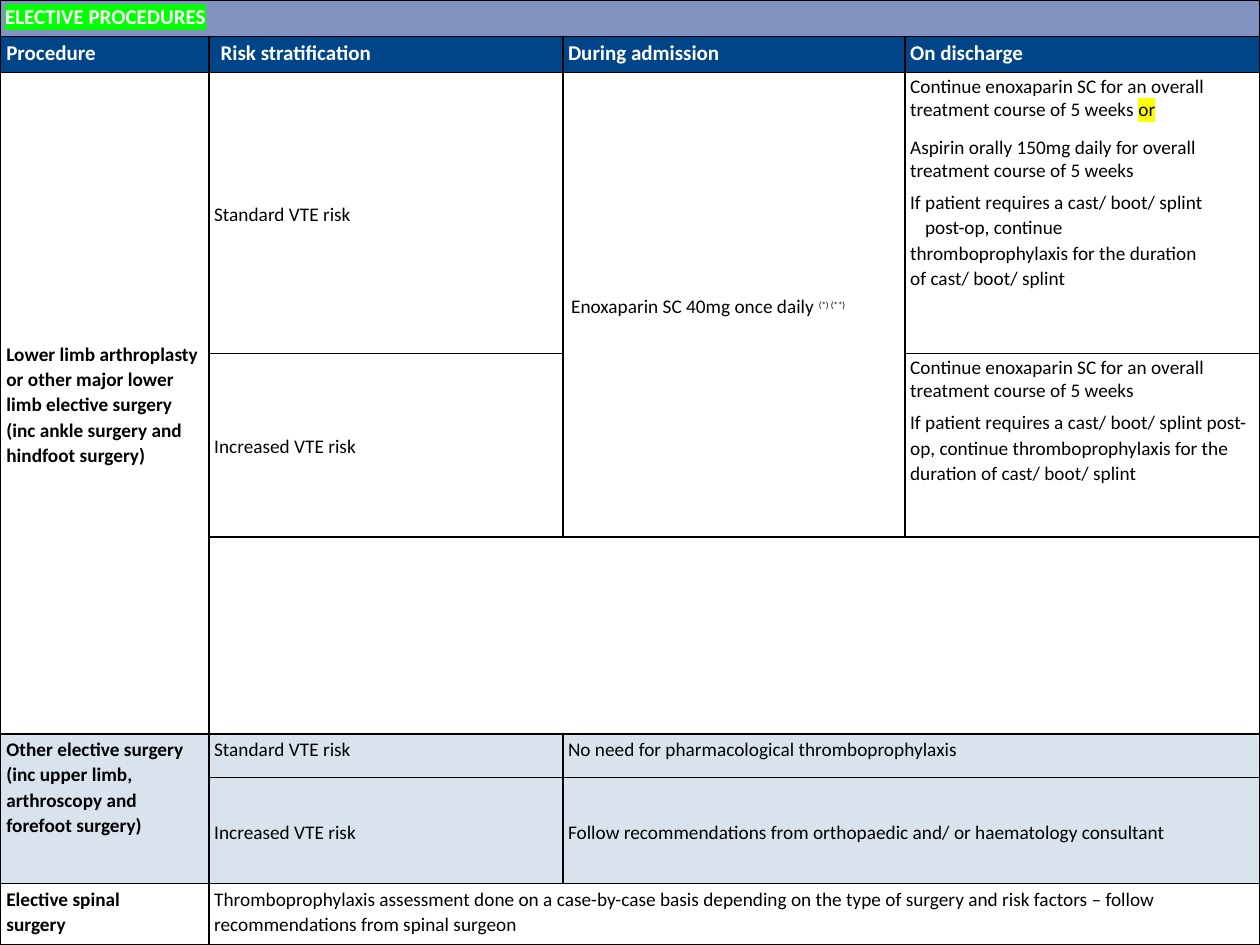
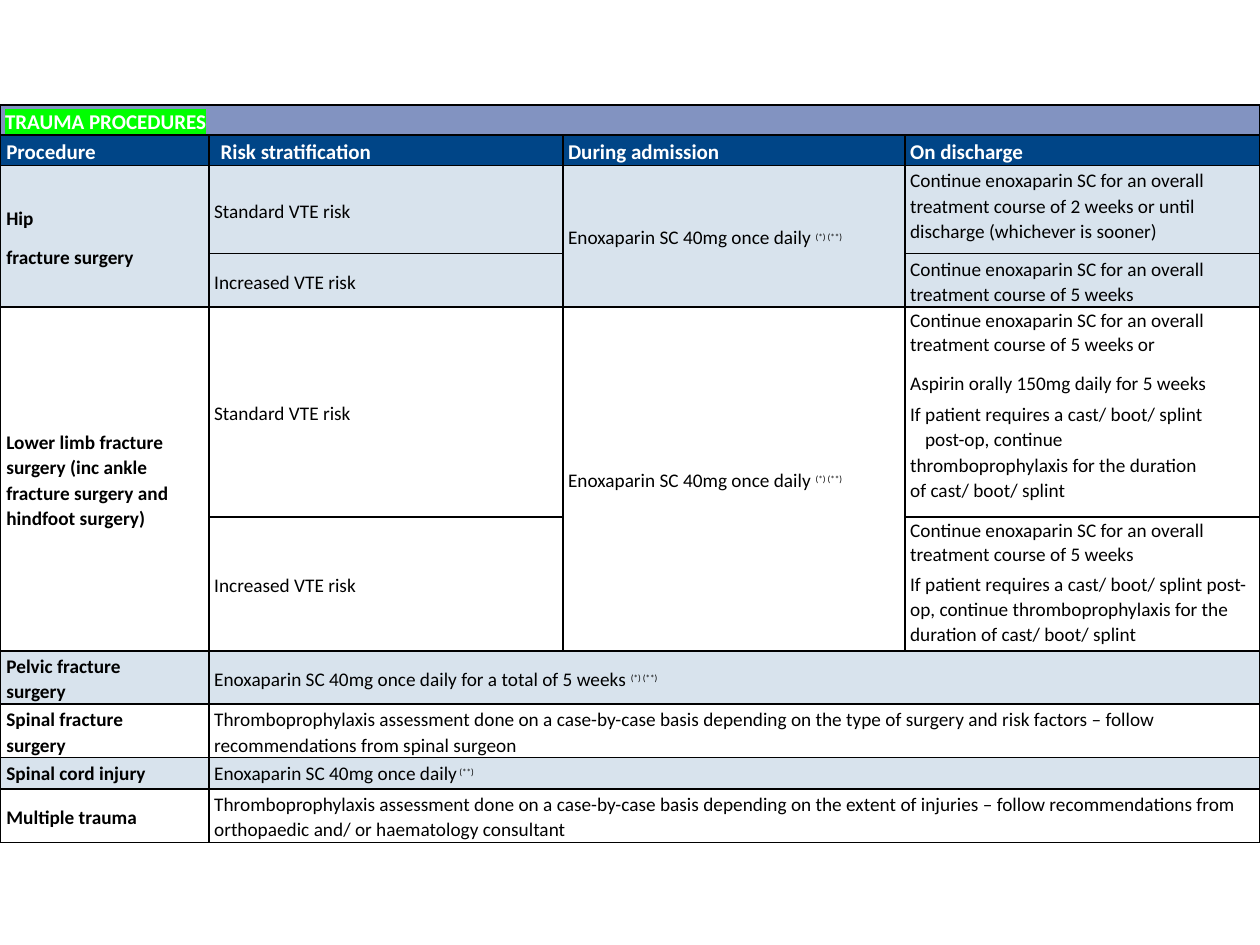
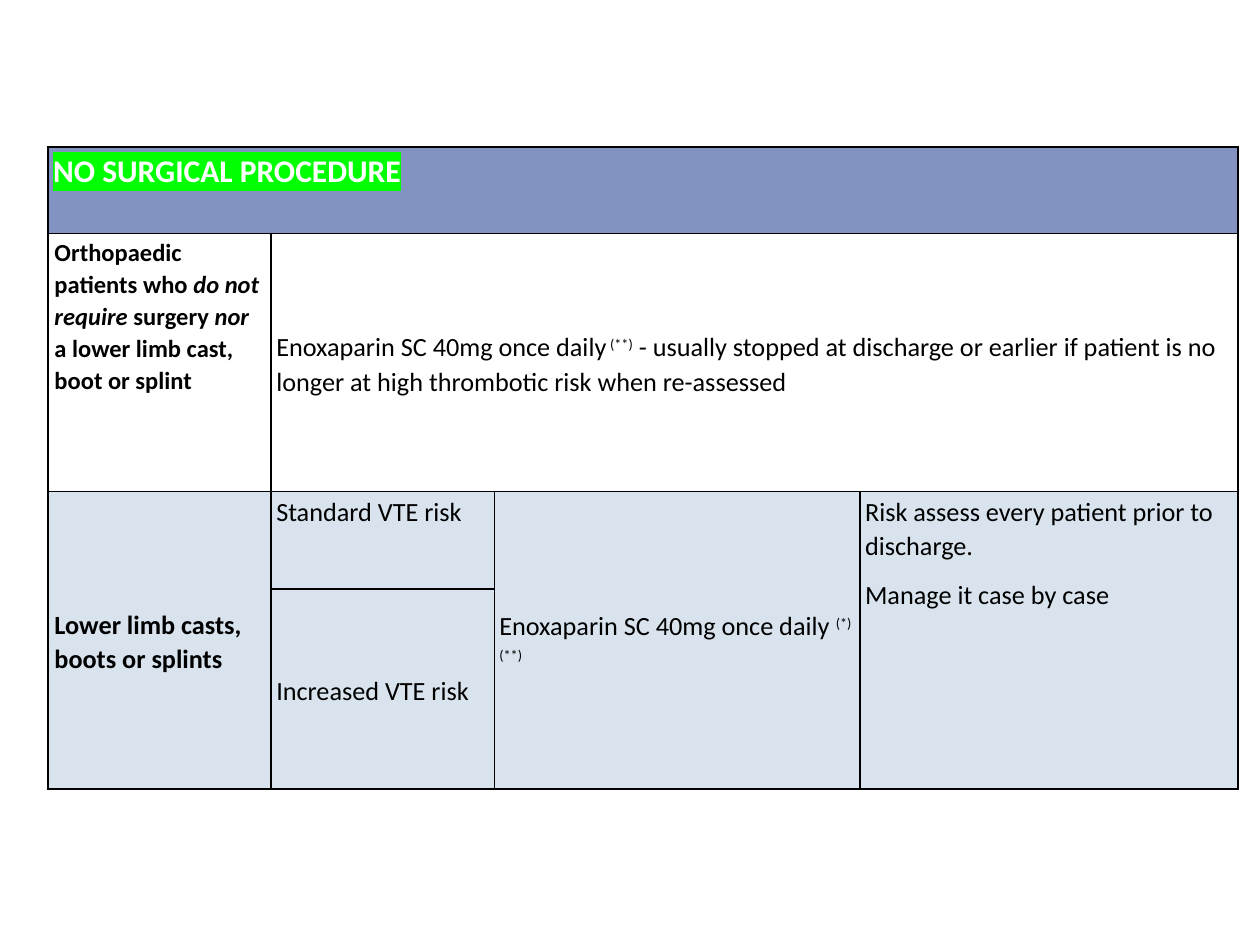
"""Build three slides of tables on thromboprophylaxis for orthopaedic patients."""
from lxml import etree
from pptx import Presentation
from pptx.dml.color import RGBColor
from pptx.enum.text import MSO_ANCHOR
from pptx.oxml.ns import qn
from pptx.util import Pt

TOP, MIDDLE = MSO_ANCHOR.TOP, MSO_ANCHOR.MIDDLE
FONT = "Calibri"
BLACK = RGBColor(0x00, 0x00, 0x00)
WHITE = RGBColor(0xFF, 0xFF, 0xFF)
BAND = RGBColor(0x82, 0x93, 0xC1)
HEADER = RGBColor(0x00, 0x45, 0x87)
PALE = RGBColor(0xD8, 0xE3, 0xED)
GREEN = RGBColor(0x00, 0xFF, 0x00)
YELLOW = RGBColor(0xFF, 0xFF, 0x00)
SPLINT_TAB = 8.5


def add_solid(parent, tag, color):
    """Append a child element that holds a plain RGB colour."""
    child = etree.SubElement(parent, qn(tag))
    etree.SubElement(child, qn("a:srgbClr"), val=str(color))


def para(*spans, line=1.07, after=8, indent=0, size=None):
    """Describe a paragraph; a span is a text or a (text, style) pair."""
    pairs = [(span, "") if isinstance(span, str) else span for span in spans]
    return {"spans": pairs, "line": line, "after": after, "indent": indent, "size": size}


STANDARD = [para("Standard VTE risk")]
INCREASED = [para("Increased VTE risk")]
DAILY = "Enoxaparin SC 40mg once daily"
BOTH_NOTES = ("(*) (**)", "note")
SECOND_NOTE = (" (**)", "note")
DAILY_BOTH = [para(DAILY + " ", BOTH_NOTES)]
FIVE_WEEKS = "Continue enoxaparin SC for an overall treatment course of 5 weeks"
CAST = para("If patient requires a cast/ boot/ splint post-op, continue "
            "thromboprophylaxis for the duration of cast/ boot/ splint")
CAST_BROKEN = para("If patient requires a cast/ boot/ splint\v\tpost-op, continue\v"
                   "thromboprophylaxis for the duration\vof cast/ boot/ splint")
CASE_BY_CASE = "Thromboprophylaxis assessment done on a case-by-case basis depending on the "
SPINAL = [para(CASE_BY_CASE + "type of surgery and risk factors – follow "
               "recommendations from spinal surgeon")]

HEADINGS = [
    (1, 0, 1, 1, HEADER, TOP, [para("Procedure")]),
    (1, 1, 1, 1, HEADER, TOP, [para("Risk stratification", indent=3.75)]),
    (1, 2, 1, 1, HEADER, TOP, [para("During admission")]),
    (1, 3, 1, 1, HEADER, TOP, [para("On discharge")]),
]

ELECTIVE = HEADINGS + [
    (2, 0, 3, 1, WHITE, MIDDLE, [para("Lower limb arthroplasty or other major lower limb "
                                      "elective surgery (inc ankle surgery and hindfoot surgery)")]),
    (2, 1, 1, 1, WHITE, MIDDLE, STANDARD),
    (2, 2, 2, 1, WHITE, MIDDLE, [para(DAILY + " ", BOTH_NOTES, indent=1.75)]),
    (2, 3, 1, 1, WHITE, TOP, [
        para(FIVE_WEEKS + " ", ("or", "marked"), line=0.98),
        para("Aspirin orally 150mg daily for overall treatment course of 5 weeks",
             line=0.98, after=4.2),
        CAST_BROKEN]),
    (3, 1, 1, 1, WHITE, MIDDLE, INCREASED),
    (3, 3, 1, 1, WHITE, TOP, [para(FIVE_WEEKS, line=0.98, after=4.2), CAST]),
    (4, 1, 1, 3, WHITE, TOP, []),
    (5, 0, 2, 1, PALE, TOP, [para("Other elective surgery (inc upper limb, arthroscopy "
                                  "and forefoot surgery)")]),
    (5, 1, 1, 1, PALE, TOP, STANDARD),
    (5, 2, 1, 2, PALE, TOP, [para("No need for pharmacological thromboprophylaxis")]),
    (6, 1, 1, 1, PALE, MIDDLE, INCREASED),
    (6, 2, 1, 2, PALE, MIDDLE, [para("Follow recommendations from orthopaedic and/ or "
                                     "haematology consultant")]),
    (7, 0, 1, 1, WHITE, TOP, [para("Elective spinal\vsurgery")]),
    (7, 1, 1, 3, WHITE, TOP, SPINAL),
]

TRAUMA = HEADINGS + [
    (2, 0, 2, 1, PALE, MIDDLE, [para("Hip"), para("fracture surgery")]),
    (2, 1, 1, 1, PALE, MIDDLE, STANDARD),
    (2, 2, 2, 1, PALE, MIDDLE, DAILY_BOTH),
    (2, 3, 1, 1, PALE, TOP, [para("Continue enoxaparin SC for an overall treatment course of "
                                  "2 weeks or until discharge (whichever is sooner)")]),
    (3, 1, 1, 1, PALE, MIDDLE, INCREASED),
    (3, 3, 1, 1, PALE, TOP, [para(FIVE_WEEKS)]),
    (4, 0, 2, 1, WHITE, MIDDLE, [para("Lower limb fracture surgery (inc ankle fracture "
                                      "surgery and hindfoot surgery)")]),
    (4, 1, 1, 1, WHITE, MIDDLE, STANDARD),
    (4, 2, 2, 1, WHITE, MIDDLE, DAILY_BOTH),
    (4, 3, 1, 1, WHITE, TOP, [
        para(FIVE_WEEKS + " or", line=0.98),
        para("Aspirin orally 150mg daily for 5 weeks", after=3.3),
        CAST_BROKEN]),
    (5, 1, 1, 1, WHITE, MIDDLE, INCREASED),
    (5, 3, 1, 1, WHITE, TOP, [para(FIVE_WEEKS, line=0.98, after=2.9), CAST]),
    (6, 0, 1, 1, PALE, TOP, [para("Pelvic fracture\vsurgery")]),
    (6, 1, 1, 3, PALE, MIDDLE, [para(DAILY + " for a total of 5 weeks ", BOTH_NOTES)]),
    (7, 0, 1, 1, WHITE, TOP, [para("Spinal fracture\vsurgery")]),
    (7, 1, 1, 3, WHITE, TOP, SPINAL),
    (8, 0, 1, 1, PALE, TOP, [para("Spinal cord injury")]),
    (8, 1, 1, 3, PALE, TOP, [para(DAILY, SECOND_NOTE)]),
    (9, 0, 1, 1, WHITE, MIDDLE, [para("Multiple trauma")]),
    (9, 1, 1, 3, WHITE, TOP, [para(CASE_BY_CASE + "extent of injuries – follow recommendations "
                                   "from orthopaedic and/ or haematology consultant")]),
]

NO_SURGERY = [
    (1, 0, 1, 1, WHITE, TOP, [para("Orthopaedic patients who ", ("do not require", "italic"),
                                   " surgery ", ("nor", "italic"),
                                   " a lower limb cast, boot or splint", size=14)]),
    (1, 1, 1, 3, WHITE, MIDDLE, [para(DAILY, SECOND_NOTE, " - usually stopped at discharge or "
                                      "earlier if patient is no longer at high thrombotic risk "
                                      "when re-assessed")]),
    (2, 0, 2, 1, PALE, MIDDLE, [para("Lower limb casts, boots or splints")]),
    (2, 1, 1, 1, PALE, TOP, STANDARD),
    (2, 2, 2, 1, PALE, MIDDLE, DAILY_BOTH),
    (2, 3, 2, 1, PALE, TOP, [para("Risk assess every patient prior to discharge."),
                             para("Manage it case by case")]),
    (3, 1, 1, 1, PALE, MIDDLE, INCREASED),
]

WIDE_COLUMNS = [119.5, 202.25, 195.5, 202.75]
SLIDES = [
    ("ELECTIVE PROCEDURES", 0, 0, WIDE_COLUMNS,
     [21, 20.5, 160.5, 105, 112.5, 25, 60.5, 35], (12, 11, 9), ELECTIVE),
    ("TRAUMA PROCEDURES", 0, 60, WIDE_COLUMNS,
     [17.25, 17.25, 50.5, 30.5, 120, 76.5, 30.5, 30.5, 18, 30.5], (12, 11, 9), TRAUMA),
    ("NO SURGICAL PROCEDURE", 27.5, 84, [127.5, 127.5, 209, 216],
     [49.5, 147.5, 55.5, 114.5], (18, 15, 14), NO_SURGERY),
]

deck = Presentation()
deck.slide_width, deck.slide_height = Pt(720), Pt(540)

for title, left, top, columns, rows, sizes, cells in SLIDES:
    heading_size, body_size, note_size = sizes
    page = deck.slides.add_slide(deck.slide_layouts[6])
    table = page.shapes.add_table(len(rows), len(columns), Pt(left), Pt(top),
                                  Pt(sum(columns)), Pt(sum(rows))).table
    table.first_row = table.horz_banding = False
    for column, width in zip(table.columns, columns):
        column.width = Pt(width)
    for row, height in zip(table.rows, rows):
        row.height = Pt(height)

    for cell in table.iter_cells():
        cell.margin_left, cell.margin_right = Pt(2.9), Pt(3.6)
        cell.margin_top, cell.margin_bottom = Pt(1.4), Pt(0)
        for side in ("a:lnL", "a:lnR", "a:lnT", "a:lnB"):
            border = etree.SubElement(cell._tc.tcPr, qn(side), w=str(Pt(1)))
            add_solid(border, "a:solidFill", BLACK)

    title_cell = (0, 0, 1, 4, BAND, TOP, [para((title, "title"))])
    for row, column, row_span, column_span, fill, anchor, paragraphs in [title_cell] + cells:
        cell = table.cell(row, column)
        if row_span * column_span > 1:
            cell.merge(table.cell(row + row_span - 1, column + column_span - 1))
        cell.fill.solid()
        cell.fill.fore_color.rgb = fill
        cell.vertical_anchor = anchor
        is_heading = fill in (BAND, HEADER)
        label_indent = 0.75 if column == 0 and row > 0 else 0

        for index, content in enumerate(paragraphs):
            frame = cell.text_frame
            paragraph = frame.add_paragraph() if index else frame.paragraphs[0]
            paragraph.line_spacing = content["line"]
            paragraph.space_after = Pt(content["after"])
            properties = paragraph._p.get_or_add_pPr()
            properties.set("marL", str(Pt(content["indent"] or label_indent)))
            if content is CAST_BROKEN:
                tabs = etree.SubElement(properties, qn("a:tabLst"))
                etree.SubElement(tabs, qn("a:tab"), pos=str(Pt(SPLINT_TAB)), algn="l")
            font = paragraph.font
            font.name = FONT
            font.size = Pt(content["size"] or (heading_size if is_heading else body_size))
            font.bold = is_heading or column == 0
            font.color.rgb = WHITE if is_heading else BLACK

            for text, style in content["spans"]:
                for piece_index, piece in enumerate(text.split("\v")):
                    if piece_index:
                        paragraph.add_line_break()
                    span = paragraph.add_run()
                    span.text = piece
                    if style == "note":
                        span.font.size = Pt(note_size)
                        span._r.get_or_add_rPr().set("baseline", "30000")
                    elif style == "italic":
                        span.font.italic = True
                    elif style:
                        add_solid(span._r.get_or_add_rPr(), "a:highlight",
                                  GREEN if style == "title" else YELLOW)

deck.save("out.pptx")
